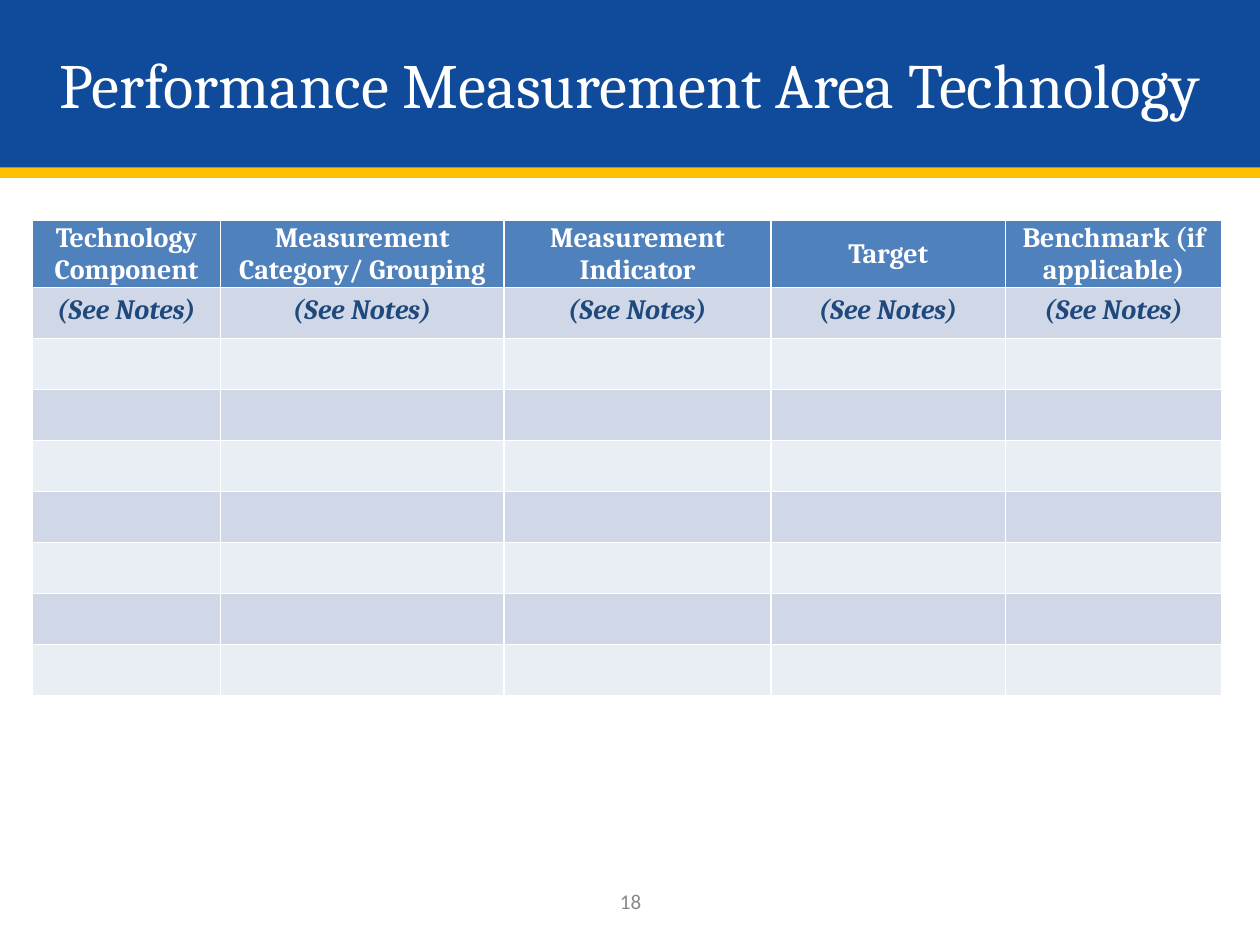
from pptx import Presentation
from pptx.dml.color import RGBColor
from pptx.enum import shapes, text
from pptx.oxml import parse_xml
from pptx.oxml.ns import nsdecls
from pptx.util import Inches, Pt

# Content
TITLE = "Performance Measurement Area Technology"
PAGE_NUMBER = "18"
HEADERS = ["Technology Component", "Measurement Category/ Grouping",
           "Measurement Indicator", "Target", "Benchmark (if applicable)"]
HINT = "(See Notes)"
COLUMN_WIDTHS = [1.49, 2.25, 2.12, 1.86, 1.72]
BODY_ROWS = 8
HEADER_HEIGHT, BODY_HEIGHT = 0.51, 3.24

WHITE = RGBColor(0xFF, 0xFF, 0xFF)
BLUE = RGBColor(0x0F, 0x4B, 0x9A)
GOLD = RGBColor(0xFF, 0xC0, 0x00)
HEADER_BLUE = RGBColor(0x4F, 0x81, 0xBD)
HINT_BLUE = RGBColor(0x1F, 0x49, 0x7D)
BANDS = [RGBColor(0xD0, 0xD8, 0xE8), RGBColor(0xE9, 0xED, 0xF4)]
GRAY = RGBColor(0x89, 0x89, 0x89)


def write(frame, content, size, font, color, bold=None, italic=None):
    frame.text = content
    paragraph = frame.paragraphs[0]
    paragraph.alignment = text.PP_ALIGN.CENTER
    style = paragraph.runs[0].font
    style.size, style.name, style.bold, style.italic = Pt(size), font, bold, italic
    style.color.rgb = color
    return paragraph


def add_borders(cell, color, width):
    properties = cell._tc.get_or_add_tcPr()
    for index, side in enumerate(("lnL", "lnR", "lnT", "lnB")):
        properties.insert(index, parse_xml(
            f'<a:{side} {nsdecls("a")} w="{Pt(width)}"><a:solidFill>'
            f'<a:srgbClr val="{color}"/></a:solidFill></a:{side}>'))


presentation = Presentation()
presentation.slide_width, presentation.slide_height = Inches(10), Inches(7.5)
slide = presentation.slides.add_slide(presentation.slide_layouts[6])

# Page number
number_box = slide.shapes.add_textbox(Inches(3.42), Inches(6.95), Inches(3.17), Inches(0.4))
number_box.text_frame.word_wrap = True
number_box.text_frame.vertical_anchor = text.MSO_ANCHOR.MIDDLE
write(number_box.text_frame, PAGE_NUMBER, 12, "Calibri", GRAY)

# Title band with a solid gold shadow below it
band = slide.shapes.add_shape(shapes.MSO_SHAPE.RECTANGLE, 0, 0, Inches(10), Inches(1.33))
band.fill.solid()
band.fill.fore_color.rgb = BLUE
band.line.fill.background()
band._element.spPr.append(parse_xml(
    f'<a:effectLst {nsdecls("a")}><a:outerShdw blurRad="0" dist="{Pt(6)}" dir="5400000" '
    f'algn="t" rotWithShape="0"><a:srgbClr val="{GOLD}"/></a:outerShdw></a:effectLst>'))
band.text_frame.word_wrap = True
band.text_frame.vertical_anchor = text.MSO_ANCHOR.MIDDLE
write(band.text_frame, TITLE, 36, "Cambria", WHITE)

# Measurement table
table = slide.shapes.add_table(
    BODY_ROWS + 1, len(HEADERS), Inches(0.26), Inches(1.75),
    Inches(sum(COLUMN_WIDTHS)), Inches(HEADER_HEIGHT + BODY_HEIGHT)).table
for column, width in zip(table.columns, COLUMN_WIDTHS):
    column.width = Inches(width)
for row_index, row in enumerate(table.rows):
    is_header = row_index == 0
    row.height = Inches(HEADER_HEIGHT if is_header else BODY_HEIGHT / BODY_ROWS)
    for cell, header in zip(row.cells, HEADERS):
        cell.fill.solid()
        cell.fill.fore_color.rgb = HEADER_BLUE if is_header else BANDS[(row_index - 1) % 2]
        add_borders(cell, WHITE, 1)
        if is_header:
            cell.vertical_anchor = text.MSO_ANCHOR.MIDDLE
            cell.margin_left = cell.margin_right = Inches(0.07)
            cell.margin_top = cell.margin_bottom = 0
        if row_index < 2:
            paragraph = write(cell.text_frame, header if is_header else HINT, 16, "Cambria",
                              WHITE if is_header else HINT_BLUE, True, not is_header)
            paragraph.space_before = paragraph.space_after = Pt(6)

presentation.save("out.pptx")
